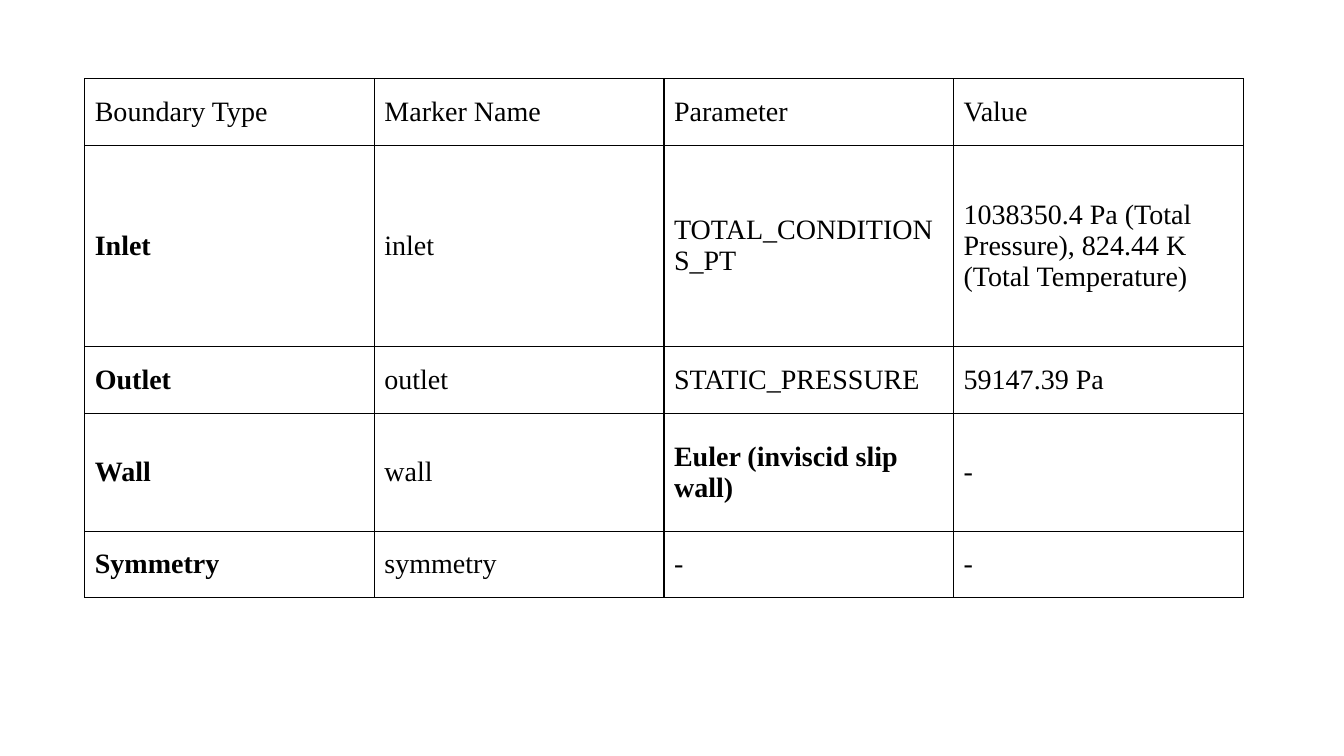
from lxml import etree
from pptx import Presentation
from pptx.dml.color import RGBColor
from pptx.enum import text
from pptx.oxml import ns
from pptx.util import Inches, Pt

ROWS = [
    ("Boundary Type", "Marker Name", "Parameter", "Value"),
    ("Inlet", "inlet", "TOTAL_CONDITIONS_PT",
     "1038350.4 Pa (Total Pressure), 824.44 K (Total Temperature)"),
    ("Outlet", "outlet", "STATIC_PRESSURE", "59147.39 Pa"),
    ("Wall", "wall", "Euler (inviscid slip wall)", "-"),
    ("Symmetry", "symmetry", "-", "-"),
]
BOLD = {"Inlet", "Outlet", "Wall", "Symmetry", "Euler (inviscid slip wall)"}
ROW_HEIGHTS = [0.66, 2, 0.66, 1.17, 0.66]
LEFT, TOP, WIDTH = 0.84, 0.78, 11.49
FONT, FONT_SIZE = "Times New Roman", 20
BLACK = "000000"


def color(value):
    return RGBColor.from_string(value)


def add_borders(cell, value, points):
    properties = cell._tc.get_or_add_tcPr()
    for side in ("a:lnL", "a:lnR", "a:lnT", "a:lnB"):
        line = etree.SubElement(properties, ns.qn(side), w=str(Pt(points)))
        fill = etree.SubElement(line, ns.qn("a:solidFill"))
        etree.SubElement(fill, ns.qn("a:srgbClr"), val=value)


def fill_cell(cell, words):
    add_borders(cell, BLACK, 1)
    cell.fill.background()
    cell.vertical_anchor = text.MSO_ANCHOR.MIDDLE
    cell.text_frame.text = words
    font = cell.text_frame.paragraphs[0].runs[0].font
    font.name = FONT
    font.size = Pt(FONT_SIZE)
    font.bold = words in BOLD
    font.color.rgb = color(BLACK)


def main():
    deck = Presentation()
    deck.slide_width, deck.slide_height = Inches(13.33), Inches(7.5)
    slide = deck.slides.add_slide(deck.slide_layouts[6])
    table = slide.shapes.add_table(
        len(ROWS), len(ROWS[0]), Inches(LEFT), Inches(TOP),
        Inches(WIDTH), Inches(sum(ROW_HEIGHTS))).table
    table.first_row = table.horz_banding = False
    for row, height, values in zip(table.rows, ROW_HEIGHTS, ROWS):
        row.height = Inches(height)
        for cell, words in zip(row.cells, values):
            fill_cell(cell, words)
    deck.save("out.pptx")


if __name__ == "__main__":
    main()
